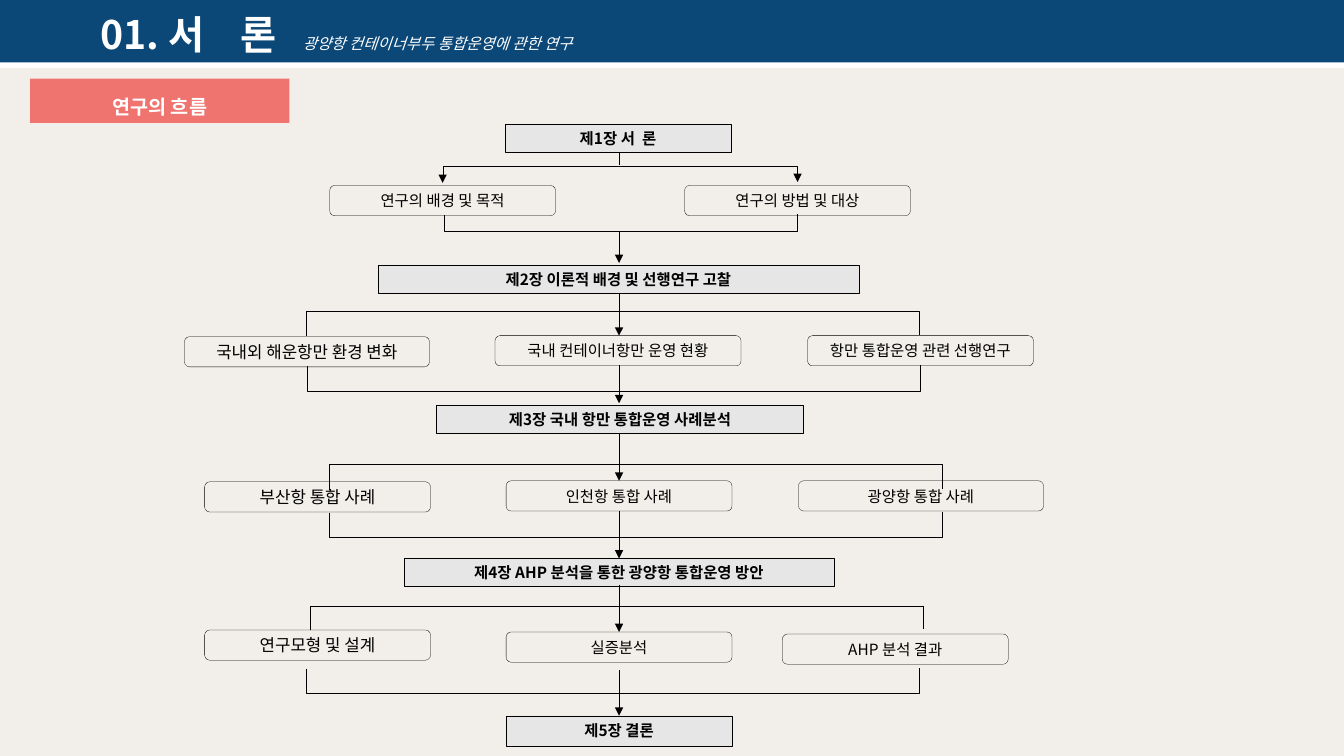
from dataclasses import dataclass

from lxml.etree import SubElement
from pptx import Presentation
from pptx.dml.color import RGBColor
from pptx.enum.shapes import MSO_CONNECTOR, MSO_SHAPE
from pptx.enum.text import MSO_ANCHOR, PP_ALIGN
from pptx.oxml.ns import qn
from pptx.util import Inches, Pt


@dataclass(frozen=True)
class Theme:
    font: str = "Noto Sans CJK KR"
    background: RGBColor = RGBColor(0xF2, 0xEF, 0xEA)
    navy: RGBColor = RGBColor(0x0B, 0x48, 0x77)
    coral: RGBColor = RGBColor(0xEF, 0x74, 0x6F)
    grey: RGBColor = RGBColor(0xE7, 0xE6, 0xE6)
    white: RGBColor = RGBColor(0xFF, 0xFF, 0xFF)
    black: RGBColor = RGBColor(0, 0, 0)
    title: int = 28
    section: int = 14
    first_topic: int = 12
    body: int = 11
    outline: float = 0.2
    flow_line: float = 0.12


THEME = Theme()
AXIS = 6.14
BRACKET_DEPTH = 0.01

# text, left, top, width, height
CHAPTERS = [
    ("제1장 서  론", 5.01, 1.23, 2.24, 0.28),
    ("제2장 이론적 배경 및 선행연구 고찰", 3.75, 2.63, 4.77, 0.28),
    ("제3장 국내 항만 통합운영 사례분석", 4.33, 4.02, 3.64, 0.28),
    ("제4장 AHP 분석을 통한 광양항 통합운영 방안", 4.01, 5.54, 4.26, 0.28),
    ("제5장 결론", 5.02, 7.1, 2.24, 0.3),
]
# text, left, top, width, type size
TOPICS = [
    ("연구의 배경 및 목적", 3.27, 1.84, 2.24, THEME.body),
    ("연구의 방법 및 대상", 6.79, 1.84, 2.24, THEME.body),
    ("국내외 해운항만 환경 변화", 1.83, 3.34, 2.43, THEME.first_topic),
    ("국내 컨테이너항만 운영 현황", 4.91, 3.33, 2.44, THEME.body),
    ("항만 통합운영 관련 선행연구", 8.01, 3.33, 2.24, THEME.body),
    ("부산항 통합 사례", 2.03, 4.78, 2.24, THEME.first_topic),
    ("인천항 통합 사례", 5.02, 4.77, 2.24, THEME.body),
    ("광양항 통합 사례", 7.92, 4.77, 2.43, THEME.body),
    ("연구모형 및 설계", 2.03, 6.25, 2.24, THEME.first_topic),
    ("실증분석", 5.02, 6.27, 2.24, THEME.body),
    ("AHP 분석 결과", 7.76, 6.29, 2.24, THEME.body),
]
# left end, right end, height of the ends, height of the bar
BRACKETS = [
    (4.4, 7.91, 2.13, 2.29),
    (3.04, 9.12, 3.33, 3.08),
    (3.05, 9.13, 3.63, 3.88),
    (3.26, 9.34, 4.86, 4.6),
    (3.26, 9.34, 5.08, 5.33),
    (3.07, 9.15, 6.25, 6),
    (3.04, 9.12, 6.63, 6.88),
]
# top and bottom of each arrow on the central axis
ARROWS = [(2.29, 2.61), (2.92, 3.33), (3.62, 4), (4.31, 4.77),
          (5.07, 5.54), (5.8, 6.27), (6.65, 7.1)]


def style_run(run, size, color, bold=False, italic=False):
    font = run.font
    font.name, font.size, font.bold, font.italic = THEME.font, Pt(size), bold, italic
    font.color.rgb = color
    SubElement(font._element, qn("a:ea")).set("typeface", THEME.font)


def add_box(slide, preset, left, top, width, height, fill=None, outlined=False):
    box = slide.shapes.add_shape(
        preset, Inches(left), Inches(top), Inches(width), Inches(height))
    box.shadow.inherit = False
    if fill is None:
        box.fill.background()
    else:
        box.fill.solid()
        box.fill.fore_color.rgb = fill
    if outlined:
        box.line.color.rgb = THEME.black
        box.line.width = Pt(THEME.outline)
    else:
        box.line.fill.background()
    return box


def add_label(box, text, size, color, bold=False):
    frame = box.text_frame
    frame.word_wrap = True
    frame.vertical_anchor = MSO_ANCHOR.MIDDLE
    frame.text = text
    label = frame.paragraphs[0]
    label.alignment = PP_ALIGN.CENTER
    style_run(label.runs[0], size, color, bold)
    return label


def add_header(slide):
    band = add_box(slide, MSO_SHAPE.RECTANGLE, 0, 0, 13.33, 0.62, THEME.navy)
    effects = band._element.spPr.find(qn("a:effectLst"))
    shadow = SubElement(effects, qn("a:outerShdw"), blurRad="0",
                        dist=str(Pt(4)), dir="5400000", algn="t", rotWithShape="0")
    SubElement(shadow, qn("a:srgbClr"), val=str(THEME.white))

    heading = slide.shapes.add_textbox(Inches(0.1), Inches(0.05), Inches(6.48), Inches(0.57))
    heading.text_frame.word_wrap = True
    line = heading.text_frame.paragraphs[0]
    line.alignment = PP_ALIGN.CENTER
    line.text = "01. 서    론   "
    style_run(line.runs[0], THEME.title, THEME.white, bold=True)
    subtitle = line.add_run()
    subtitle.text = "광양항 컨테이너부두 통합운영에 관한 연구"
    style_run(subtitle, THEME.body, THEME.white, italic=True)


def add_section_tag(slide):
    tag = add_box(slide, MSO_SHAPE.RECTANGLE, 0.3, 0.78, 2.57, 0.44, THEME.coral)
    label = add_label(tag, "연구의 흐름", THEME.section, THEME.white, bold=True)
    label.line_spacing = 1.5


def add_flow_line(slide, kind, x1, y1, x2, y2, arrow_ends=()):
    """Add a thin connector; arrow_ends may hold "headEnd" and "tailEnd"."""
    flow = slide.shapes.add_connector(kind, Inches(x1), Inches(y1), Inches(x2), Inches(y2))
    flow.line.color.rgb = THEME.black
    flow.line.width = Pt(THEME.flow_line)
    for end in arrow_ends:
        SubElement(flow.line._get_or_add_ln(), qn(f"a:{end}"), type="triangle")
    SubElement(flow._element.spPr, qn("a:effectLst"))
    return flow


def add_bracket(slide, left, right, ends, bar, arrow_ends=()):
    """Turn an elbow connector a quarter so its middle part is a level bar."""
    center, half_span, half_depth = (left + right) / 2, (right - left) / 2, BRACKET_DEPTH / 2
    bracket = add_flow_line(
        slide, MSO_CONNECTOR.ELBOW, center - half_depth, ends - half_span,
        center + half_depth, ends + half_span, arrow_ends)
    properties = bracket._element.spPr
    frame = properties.find(qn("a:xfrm"))
    for name, value in (("rot", "5400000"), ("flipH", "1"), ("flipV", "1")):
        frame.set(name, value)
    bend = round((ends - bar) / BRACKET_DEPTH * 100000)
    geometry = properties.find(qn("a:prstGeom"))
    SubElement(geometry.find(qn("a:avLst")), qn("a:gd"), name="adj1", fmla=f"val {bend}")


def main():
    deck = Presentation()
    deck.slide_width, deck.slide_height = Inches(13.33), Inches(7.5)
    slide = deck.slides.add_slide(deck.slide_layouts[6])
    slide.background.fill.solid()
    slide.background.fill.fore_color.rgb = THEME.background

    add_header(slide)
    add_section_tag(slide)
    for text, *place in CHAPTERS:
        chapter = add_box(slide, MSO_SHAPE.RECTANGLE, *place, THEME.grey, outlined=True)
        add_label(chapter, text, THEME.body, THEME.black, bold=True)
    for text, left, top, width, size in TOPICS:
        topic = add_box(slide, MSO_SHAPE.FLOWCHART_ALTERNATE_PROCESS,
                        left, top, width, 0.3, outlined=True)
        add_label(topic, text, size, THEME.black)

    add_flow_line(slide, MSO_CONNECTOR.STRAIGHT, AXIS, 1.51, AXIS, 1.64)
    add_bracket(slide, 4.39, 7.91, 1.81, 1.64, ("headEnd", "tailEnd"))
    for bracket in BRACKETS:
        add_bracket(slide, *bracket)
    for top, bottom in ARROWS:
        add_flow_line(slide, MSO_CONNECTOR.STRAIGHT, AXIS, top, AXIS, bottom, ("tailEnd",))

    deck.save("out.pptx")


if __name__ == "__main__":
    main()
